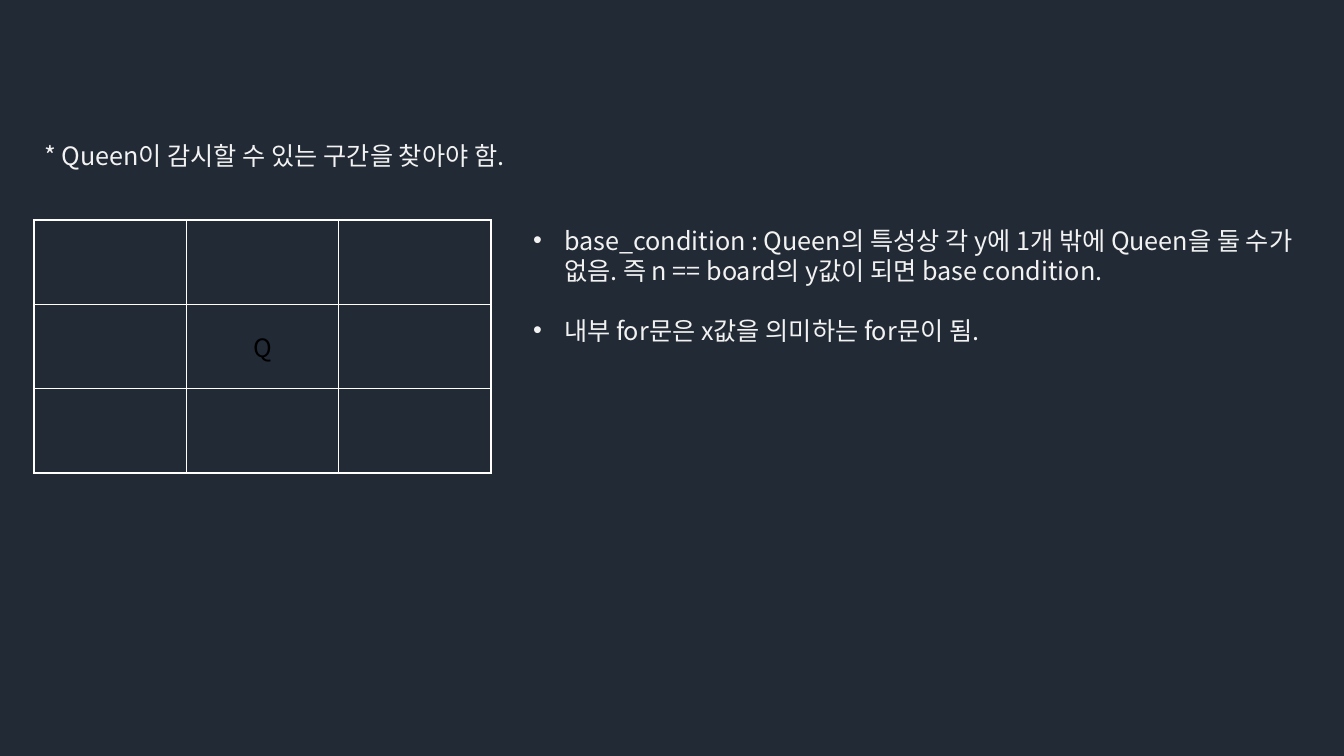
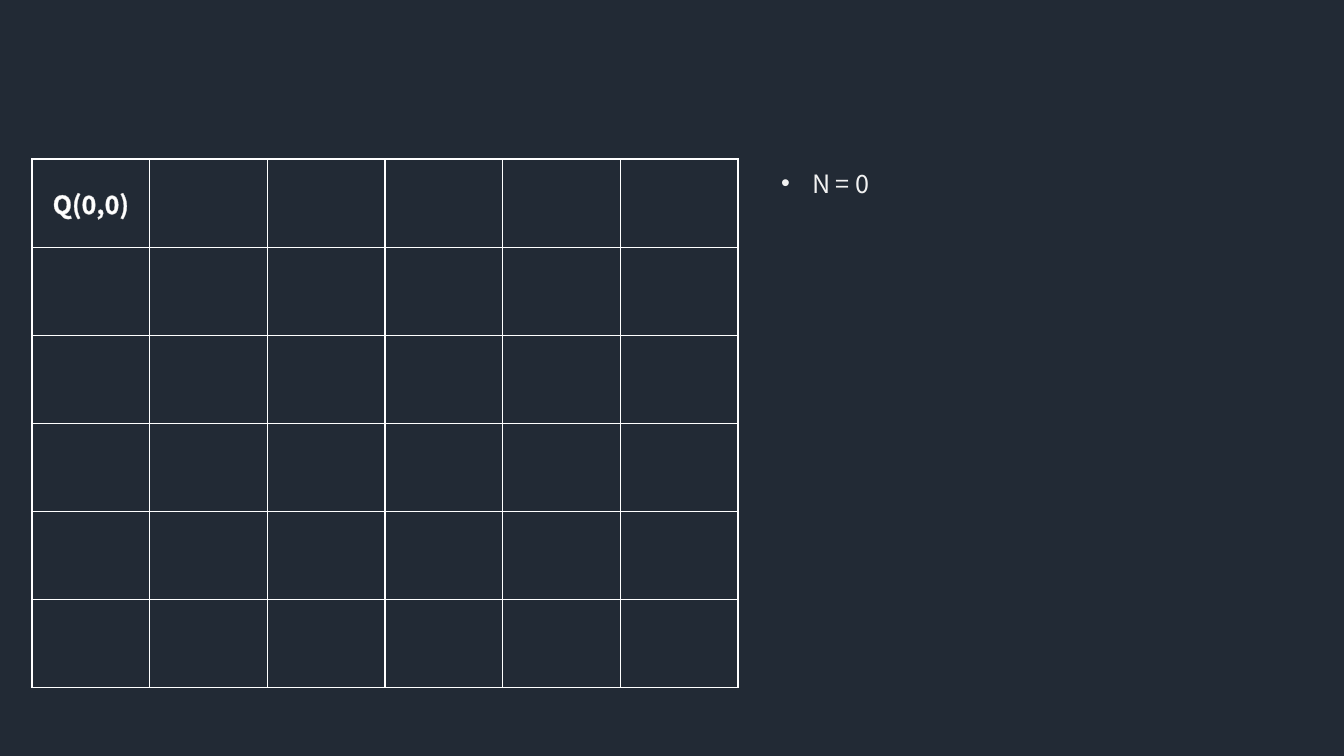
"""Build two slides about placing queens on a board."""
from pptx import Presentation
from pptx.dml.color import RGBColor
from pptx.enum.text import MSO_ANCHOR, MSO_AUTO_SIZE, PP_ALIGN
from pptx.oxml import parse_xml
from pptx.oxml.ns import nsdecls
from pptx.util import Inches, Pt

FONT = "Noto Sans CJK KR"
BACKGROUND, LIGHT, WHITE, BLACK, OUTLINE = "222A35", "F2F2F2", "FFFFFF", "000000", "D0CECE"

SLIDES = [
    {
        "title": "* Queen이 감시할 수 있는 구간을 찾아야 함.",
        "title_box": (34, 135, 1151, 40),
        "board": {"box": (34, 220, 457, 253), "size": 3, "queen": (1, 1),
                  "label": "Q", "color": BLACK, "bold": False},
        "points": [
            "base_condition : Queen의 특성상 각 y에 1개 밖에 Queen을 둘 수가 없음. "
            "즉 n == board의 y값이 되면 base condition.",
            "내부 for문은 x값을 의미하는 for문이 됨.",
        ],
        "points_box": (523, 220, 797, 163),
    },
    {
        "board": {"box": (32, 159, 706, 529), "size": 6, "queen": (0, 0),
                  "label": "Q(0,0)", "color": WHITE, "bold": True},
        "points": ["N = 0"],
        "points_box": (771, 163, 132, 40),
    },
]


def px(length):
    return Inches(length / 100.8)


def rgb(color):
    return RGBColor.from_string(color)


def line_xml(tag, color, width):
    return parse_xml(
        f'<a:{tag} {nsdecls("a")} w="{Pt(width)}"><a:solidFill>'
        f'<a:srgbClr val="{color}"/></a:solidFill></a:{tag}>')


def write(paragraph, text, color=LIGHT, bold=False, align=PP_ALIGN.LEFT,
          before=0, bullet=False, outline=None):
    paragraph.alignment = align
    paragraph.space_before = Pt(before)
    run = paragraph.add_run()
    run.text = text
    font = run.font
    font.name, font.size, font.bold = FONT, Pt(18), bold
    font.color.rgb = rgb(color)
    properties = run._r.get_or_add_rPr()
    properties.append(parse_xml(f'<a:ea {nsdecls("a")} typeface="{FONT}"/>'))
    if outline:
        properties.insert(0, line_xml("ln", outline, 0.75))
    if bullet:
        margins = paragraph._p.get_or_add_pPr()
        margins.set("marL", str(px(31)))
        margins.set("indent", str(-px(31)))
        margins.append(parse_xml(f'<a:buFont {nsdecls("a")} typeface="Arial"/>'))
        margins.append(parse_xml(f'<a:buChar {nsdecls("a")} char="•"/>'))


def place(holder, box):
    holder.left, holder.top, holder.width, holder.height = map(px, box)
    frame = holder.text_frame
    frame.word_wrap = True
    frame.auto_size = MSO_AUTO_SIZE.SHAPE_TO_FIT_TEXT
    frame.vertical_anchor = MSO_ANCHOR.TOP
    return frame


def add_board(slide, box, size, queen, label, color, bold):
    table = slide.shapes.add_table(size, size, *map(px, box)).table
    table.first_row = table.horz_banding = False
    for cell in table.iter_cells():
        cell.fill.background()
        for position, side in enumerate(("lnL", "lnR", "lnT", "lnB")):
            cell._tc.get_or_add_tcPr().insert(position, line_xml(side, WHITE, 1))
    square = table.cell(*queen)
    square.vertical_anchor = MSO_ANCHOR.MIDDLE
    write(square.text_frame.paragraphs[0], label, color=color, bold=bold,
          align=PP_ALIGN.CENTER, outline=OUTLINE)


def add_slide(deck, content):
    slide = deck.slides.add_slide(deck.slide_layouts[1])
    title, points = slide.placeholders
    if "title" in content:
        frame = place(title, content["title_box"])
        write(frame.paragraphs[0], content["title"])
    else:
        title.element.getparent().remove(title.element)
    add_board(slide, **content["board"])
    frame = place(points, content["points_box"])
    for number, point in enumerate(content["points"]):
        paragraph = frame.add_paragraph() if number else frame.paragraphs[0]
        write(paragraph, point, bullet=True, before=21 if number else 0)


def main():
    deck = Presentation()
    deck.slide_width, deck.slide_height = px(1344), px(756)
    fill = deck.slide_master.background.fill
    fill.solid()
    fill.fore_color.rgb = rgb(BACKGROUND)
    for content in SLIDES:
        add_slide(deck, content)
    deck.save("out.pptx")


if __name__ == "__main__":
    main()
